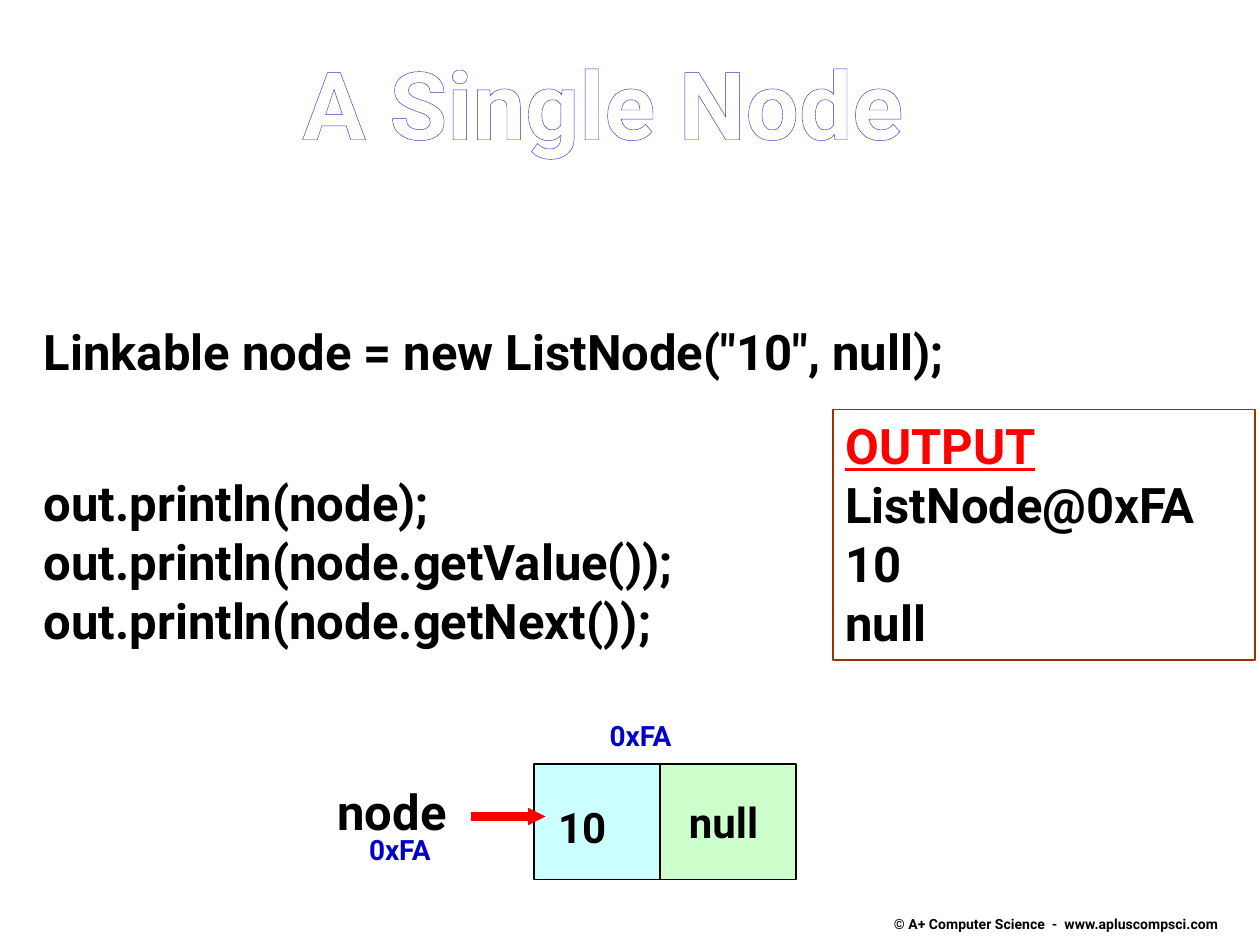
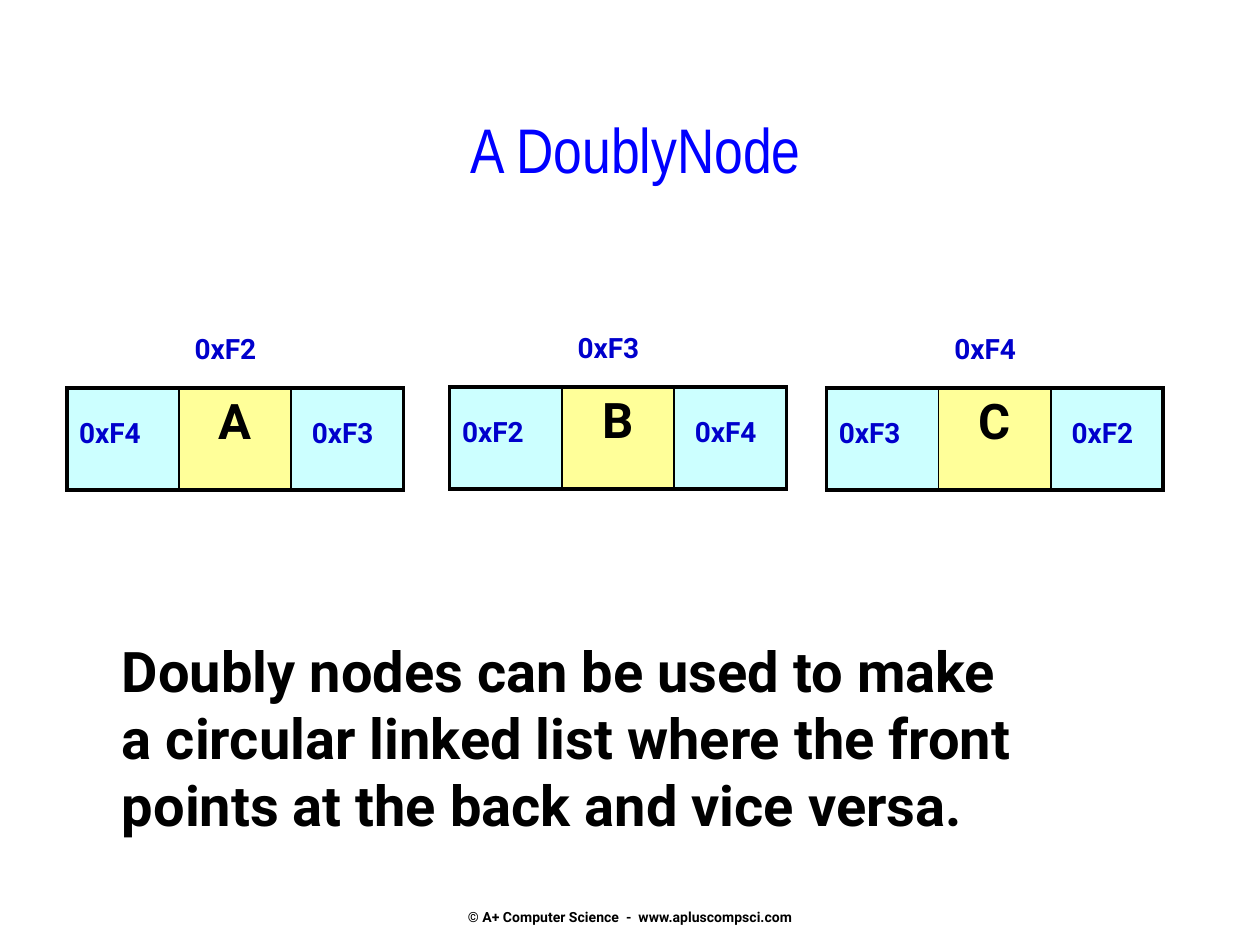
from pptx import Presentation
from pptx.util import Pt
from pptx.dml.color import RGBColor
from pptx.enum.shapes import MSO_CONNECTOR, MSO_SHAPE
from pptx.enum.text import MSO_ANCHOR, PP_ALIGN
from pptx.oxml import parse_xml
from pptx.oxml.ns import nsdecls
from pptx.oxml.xmlchemy import OxmlElement

RECTANGLE = MSO_SHAPE.RECTANGLE
STRAIGHT = MSO_CONNECTOR.STRAIGHT
LEFT, CENTER = PP_ALIGN.LEFT, PP_ALIGN.CENTER
TOP, MIDDLE = MSO_ANCHOR.TOP, MSO_ANCHOR.MIDDLE

# Shared style
BODY_FONT, TITLE_FONT = "Roboto", "Arial Narrow"
BLACK, WHITE, RED = "000000", "FFFFFF", "FF0000"
ADDRESS_BLUE, TITLE_BLUE, OUTLINE_BLUE = "0000CC", "0000FF", "3333CC"
CYAN, GREEN, YELLOW, BROWN = "CCFFFF", "CCFFCC", "FFFF99", "993300"
FOOTER = "© A+ Computer Science  -  www.apluscompsci.com"
FOOTER_SIZE = (228, 14)
ADDRESS_SIZE = (78, 26.5)
THIN, THICK = 1, 2.25

# Single node slide: content
DECLARATION = 'Linkable node = new ListNode("10", null);'
PRINT_CALLS = [
    "out.println(node);",
    "out.println(node.getValue());",
    "out.println(node.getNext());",
]
OUTPUT_TITLE = "OUTPUT"
OUTPUT_LINES = ["ListNode@0xFA", "10", "null"]
NODE_PARTS = [(305.3, 72, CYAN), (377.3, 77.7, GREEN)]  # left, width, fill
NODE_TOP, NODE_HEIGHT = 436.6, 66
NODE_LABELS = [  # text, left, top, width, size
    ("10", 311.8, 454.3, 66, 24),
    ("null", 386.6, 451.4, 78, 24),
    ("node", 185.8, 442.8, 114, 28),
]
NODE_ADDRESSES = [("0xFA", 203.8, 472.3), ("0xFA", 341.3, 406.8)]

# Doubly node slide: content
DOUBLY_NODES = [  # address, previous, value, next, left, top
    ("0xF2", "0xF4", "A", "0xF3", 38.2, 221.8),
    ("0xF3", "0xF2", "B", "0xF4", 257, 221.2),
    ("0xF4", "0xF3", "C", "0xF2", 472.3, 221.8),
]
CELL_WIDTH, CELL_HEIGHT = 64.1, 58.3
SUMMARY = [
    "Doubly nodes can be used to make",
    "a circular linked list where the front",
    "points at the back and vice versa.",
]


def color(value):
    return RGBColor.from_string(value)


def write(frame, text, size=28, ink=BLACK, font=BODY_FONT, bold=True,
          underline=False, align=LEFT, before=0, outline=None, new=True):
    """Write one paragraph; new=False fills the empty first one."""
    para = frame.add_paragraph() if new else frame.paragraphs[0]
    para.alignment = align
    if before:
        para.space_before = Pt(before)
    span = para.add_run()
    span.text = text
    span.font.size = Pt(size)
    span.font.name = font
    span.font.bold = bold
    span.font.underline = underline
    span.font.color.rgb = color(ink)
    if outline:
        span.font._element.insert(0, line_xml("ln", outline, 0.52))


def line_xml(tag, ink, width):
    return parse_xml(
        f'<a:{tag} {nsdecls("a")} w="{round(width * 12700)}">'
        f'<a:solidFill><a:srgbClr val="{ink}"/></a:solidFill></a:{tag}>')


def add_text(page, lines, left, top, width, height, anchor=TOP, **style):
    box = page.shapes.add_textbox(Pt(left), Pt(top), Pt(width), Pt(height))
    frame = box.text_frame
    frame.word_wrap = True
    frame.vertical_anchor = anchor
    for index, line in enumerate(lines):
        write(frame, line, new=index > 0, **style)
    return frame


def add_address(page, text, left, top):
    add_text(page, [text], left, top, *ADDRESS_SIZE, size=16, ink=ADDRESS_BLUE)


def add_rectangle(page, left, top, width, height, line, fill=None):
    box = page.shapes.add_shape(RECTANGLE, Pt(left), Pt(top), Pt(width), Pt(height))
    box.shadow.inherit = False
    box.line.color.rgb = color(line)
    box.line.width = Pt(THIN)
    if fill:
        box.fill.solid()
        box.fill.fore_color.rgb = color(fill)
    else:
        box.fill.background()
    return box


def add_arrow(page, start, end, y):
    arrow = page.shapes.add_connector(STRAIGHT, Pt(start), Pt(y), Pt(end), Pt(y))
    arrow.line.color.rgb = color(RED)
    arrow.line.width = Pt(5)
    head = OxmlElement("a:tailEnd")
    for name, value in (("type", "triangle"), ("w", "sm"), ("len", "sm")):
        head.set(name, value)
    arrow.line._get_or_add_ln().append(head)
    arrow._element.spPr.append(OxmlElement("a:effectLst"))


def add_page(deck, footer_left, footer_top):
    page = deck.slides.add_slide(deck.slide_layouts[6])
    page.background.fill.solid()
    page.background.fill.fore_color.rgb = color(WHITE)
    add_text(page, [FOOTER], footer_left, footer_top, *FOOTER_SIZE,
             anchor=MIDDLE, size=8, align=CENTER)
    return page


def add_doubly_node(page, address, previous, value, following, left, top):
    fills = [CYAN, YELLOW, CYAN]
    last = len(fills) - 1
    table = page.shapes.add_table(1, len(fills), Pt(left), Pt(top),
                                  Pt(CELL_WIDTH * len(fills)), Pt(CELL_HEIGHT)).table
    table.first_row = table.horz_banding = False
    table.rows[0].height = Pt(CELL_HEIGHT)
    for index, fill in enumerate(fills):
        table.columns[index].width = Pt(CELL_WIDTH)
        cell = table.cell(0, index)
        borders = {
            "lnL": THICK if index == 0 else THIN,
            "lnR": THICK if index == last else THIN,
            "lnT": THICK,
            "lnB": THICK,
        }
        properties = cell._tc.get_or_add_tcPr()
        for side, width in borders.items():
            properties.append(line_xml(side, BLACK, width))
        cell.fill.solid()
        cell.fill.fore_color.rgb = color(fill)
    write(table.cell(0, 1).text_frame, value, align=CENTER, new=False)

    # Addresses: above the node, then in its two link cells
    for text, across, down in ((address, 66, -36), (previous, 0, 12.2),
                               (following, 133, 12.2)):
        add_address(page, text, left + across, top + down)


def build_single_node(deck):
    page = add_page(deck, 489.6, 521)
    add_text(page, ["A Single Node"], 146.9, 22.3, 395.3, 72.7, size=54,
             ink=WHITE, outline=OUTLINE_BLUE, align=CENTER)

    # Code
    code = add_text(page, [DECLARATION], 18, 180, 702, 266.4)
    for index, call in enumerate(PRINT_CALLS):
        write(code, call, before=0 if index else 53)

    # Node diagram
    for left, width, fill in NODE_PARTS:
        add_rectangle(page, left, NODE_TOP, width, NODE_HEIGHT, BLACK, fill)
    for text, left, top, width, size in NODE_LABELS:
        add_text(page, [text], left, top, width, size * 1.45, size=size)
    for address in NODE_ADDRESSES:
        add_address(page, *address)
    add_arrow(page, 269.3, 311.8, 466.6)

    # Output panel
    panel = add_rectangle(page, 475.9, 234, 241.2, 143.3, BROWN)
    frame = panel.text_frame
    frame.word_wrap = True
    frame.vertical_anchor = TOP
    write(frame, OUTPUT_TITLE, ink=RED, underline=True, new=False)
    for line in OUTPUT_LINES:
        write(frame, line)


def build_doubly_node(deck):
    page = add_page(deck, 246.2, 517)
    add_text(page, ["A DoublyNode"], 66.2, 59.8, 594, 84.2, size=36,
             ink=TITLE_BLUE, font=TITLE_FONT, bold=False, align=CENTER)
    for node in DOUBLY_NODES:
        add_doubly_node(page, *node)
    add_text(page, SUMMARY, 62.6, 360, 590.4, 122.4, size=32)


def main():
    deck = Presentation()
    deck.slide_width, deck.slide_height = Pt(720), Pt(540)
    build_single_node(deck)
    build_doubly_node(deck)
    deck.save("out.pptx")


if __name__ == "__main__":
    main()
